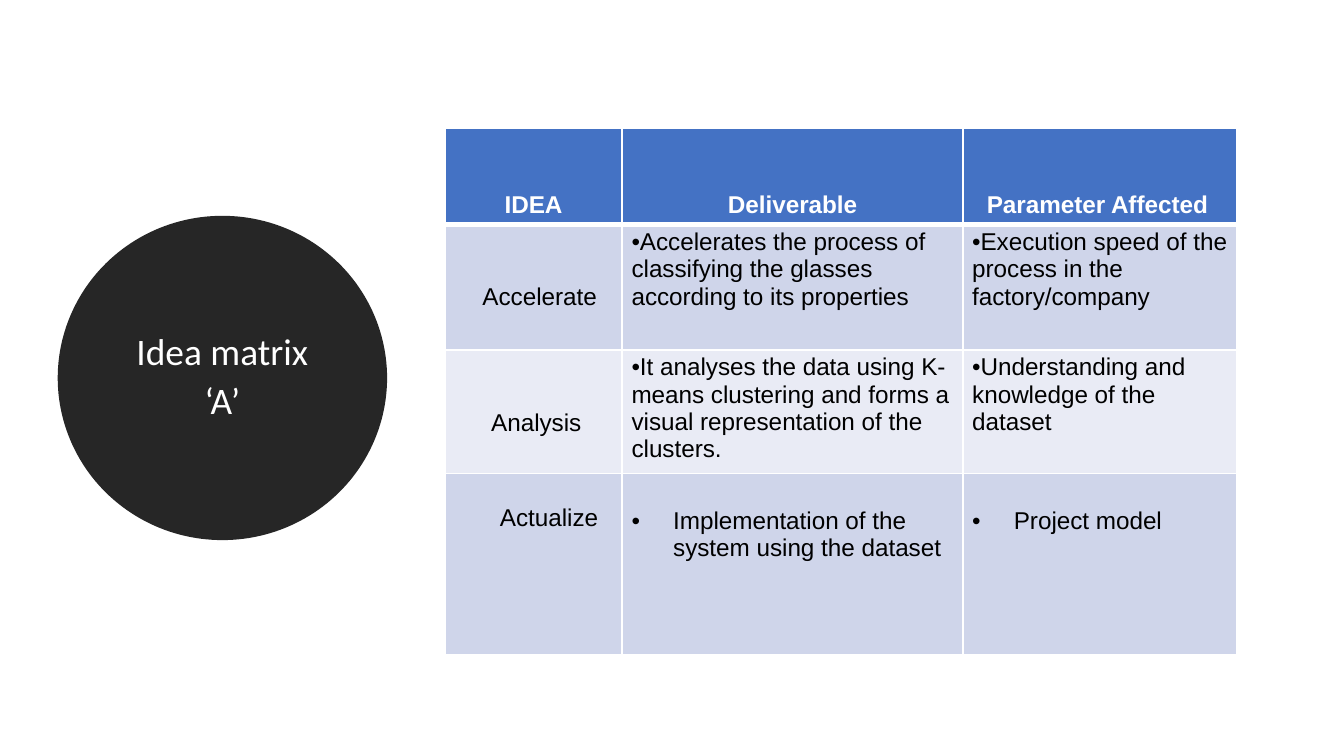
import dataclasses
import typing

import lxml.etree
import pptx
import pptx.dml.color
import pptx.enum.shapes
import pptx.enum.text
import pptx.oxml.ns
import pptx.util

WIDE = 10
HIGH = WIDE * 9 / 16
HUES = {"ink": "000000", "paper": "FFFFFF", "disc": "262626",
        "head": "4472C4", "dark": "CFD5EA", "light": "E9EBF5"}
ALIGN = pptx.enum.text.PP_ALIGN
LINE = 0.2  # height of one line of table text, inches
SIDE, EDGE = 0.07, 0.03  # cell margins, inches


@dataclasses.dataclass
class Cell:
    text: str
    drop: float = 0  # lines left free above the text
    shift: float = 0  # extra left margin, inches
    mid: bool = False
    dot: bool = False
    hang: float = 0


@dataclasses.dataclass
class Row:
    tall: float  # share of the slide height, percent
    fill: str
    cells: list[Cell]
    head: bool = False


def across(part: float) -> int:
    return pptx.util.Inches(WIDE * part / 100)


def down(part: float) -> int:
    return pptx.util.Inches(HIGH * part / 100)


def hue(name: str) -> pptx.dml.color.RGBColor:
    return pptx.dml.color.RGBColor.from_string(HUES[name])


def paint(fill: typing.Any, name: str) -> None:
    fill.solid()
    fill.fore_color.rgb = hue(name)


def style(font: typing.Any, face: str, size: float, name: str, bold: bool = False) -> None:
    font.name, font.size, font.bold = face, pptx.util.Pt(size), bold
    font.color.rgb = hue(name)


def add_tag(node: typing.Any, tag: str, **attrs: str) -> typing.Any:
    return lxml.etree.SubElement(node, pptx.oxml.ns.qn(tag), **attrs)


def add_dot(para: typing.Any, hang: float) -> None:
    props = para._p.get_or_add_pPr()
    step = pptx.util.Inches(hang)
    props.set("marL", str(step))
    props.set("indent", str(-step))
    add_tag(add_tag(props, "a:buClr"), "a:srgbClr", val=HUES["ink"])
    add_tag(props, "a:buFont", typeface="Arial")
    add_tag(props, "a:buChar", char="•")


def add_rules(cell: typing.Any, base: float, top: float) -> None:
    props = cell._tc.get_or_add_tcPr()
    sides = {"L": 1, "R": 1, "T": top, "B": base}
    for spot, (side, width) in enumerate(sides.items()):
        rule = add_tag(props, f"a:ln{side}", w=str(pptx.util.Pt(width)))
        add_tag(add_tag(rule, "a:solidFill"), "a:srgbClr", val=HUES["paper"])
        props.insert(spot, rule)  # borders stand before the fill


def fill_cell(box: typing.Any, cell: Cell, row: Row, top: float) -> None:
    box.margin_left = pptx.util.Inches(SIDE + cell.shift)
    box.margin_right = pptx.util.Inches(SIDE)
    box.margin_top = pptx.util.Inches(EDGE + cell.drop * LINE)
    box.margin_bottom = pptx.util.Inches(EDGE)
    paint(box.fill, row.fill)
    add_rules(box, 3 if row.head else 1, top)
    para = box.text_frame.paragraphs[0]
    para.text = cell.text
    para.alignment = ALIGN.CENTER if cell.mid else ALIGN.LEFT
    if cell.dot:
        add_dot(para, cell.hang)
    style(para.font, "Arial", 13, "paper" if row.head else "ink", row.head)


def draw_disc(slide: typing.Any, lines: list[str]) -> None:
    disc = slide.shapes.add_shape(pptx.enum.shapes.MSO_SHAPE.OVAL,
                                  across(5.25), down(30.25), across(22.6), down(39.5))
    disc.shadow.inherit = False
    paint(disc.fill, "disc")
    paint(disc.line.fill, "disc")
    disc.line.width = pptx.util.Pt(13.75)
    frame = disc.text_frame
    frame.word_wrap = True
    frame.vertical_anchor = pptx.enum.text.MSO_ANCHOR.MIDDLE
    frame.margin_left = frame.margin_right = pptx.util.Inches(0.07)
    frame.margin_top = frame.margin_bottom = pptx.util.Inches(0.04)
    frame.text = "\n".join(lines)
    for para in frame.paragraphs:
        para.alignment = ALIGN.CENTER
        para.line_spacing = 0.9
        para.space_after = pptx.util.Pt(4.5)
        style(para.font, "Calibri", 20, "paper")


def draw_table(slide: typing.Any, cols: list[float], rows: list[Row]) -> None:
    table = slide.shapes.add_table(len(rows), len(cols), across(33.1), down(16.95),
                                   across(sum(cols)),
                                   down(sum(row.tall for row in rows))).table
    for col, wide in zip(table.columns, cols):
        col.width = across(wide)
    for y, row in enumerate(rows):
        table.rows[y].height = down(row.tall)
        top = 3 if y and rows[y - 1].head else 1
        for x, cell in enumerate(row.cells):
            fill_cell(table.cell(y, x), cell, row, top)


COLS = [13.2, 25.35, 20.4]  # shares of the slide width, percent
ROWS = [
    Row(12.8, "head", [
        Cell("IDEA", drop=2.2, mid=True),
        Cell("Deliverable", drop=2.2, mid=True),
        Cell("Parameter Affected", drop=2.2, shift=-0.04, mid=True)], head=True),
    Row(16.55, "dark", [
        Cell("Accelerate", drop=2.05, shift=0.09, mid=True),
        Cell("Accelerates the process of classifying the glasses "
             "according to its properties", dot=True),
        Cell("Execution speed of the process in the factory/company", dot=True)]),
    Row(16.37, "light", [
        Cell("Analysis", drop=2.05, shift=0.04, mid=True),
        Cell("It analyses the data using K-means clustering and forms "
             "a visual representation of the clusters.", dot=True),
        Cell("Understanding and knowledge of the dataset", dot=True)]),
    Row(23.9, "dark", [
        Cell("Actualize", drop=1, shift=0.34),
        Cell("Implementation of the system using the dataset",
             drop=1.1, dot=True, hang=0.31),
        Cell("Project model", drop=1.1, dot=True, hang=0.31)]),
]


def main() -> None:
    deck = pptx.Presentation()
    deck.slide_width, deck.slide_height = across(100), down(100)
    slide = deck.slides.add_slide(deck.slide_layouts[6])
    paint(slide.background.fill, "paper")
    # Title disc on the left, idea matrix on the right
    draw_disc(slide, ["Idea matrix", "‘A’"])
    draw_table(slide, COLS, ROWS)
    deck.save("out.pptx")


if __name__ == "__main__":
    main()
